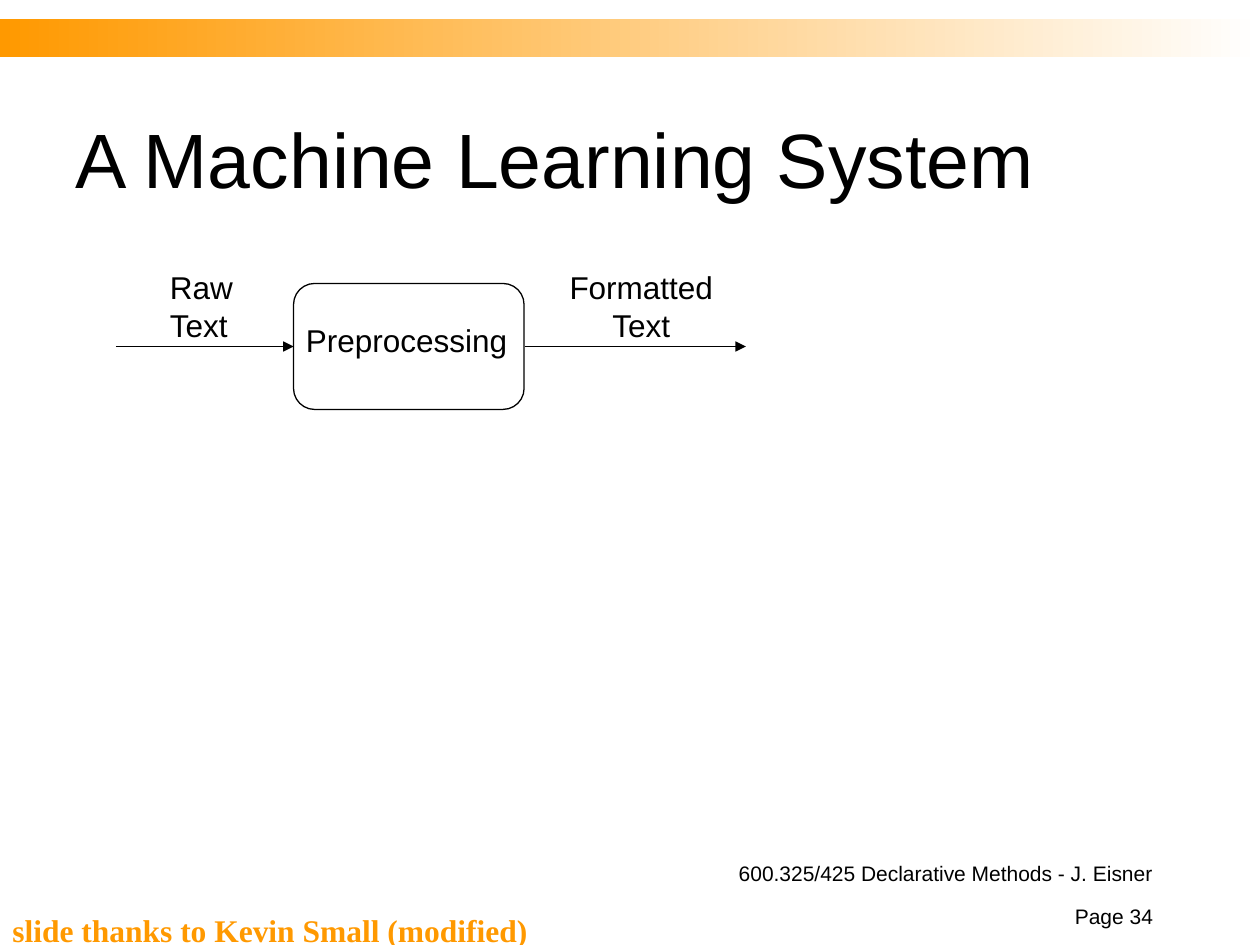
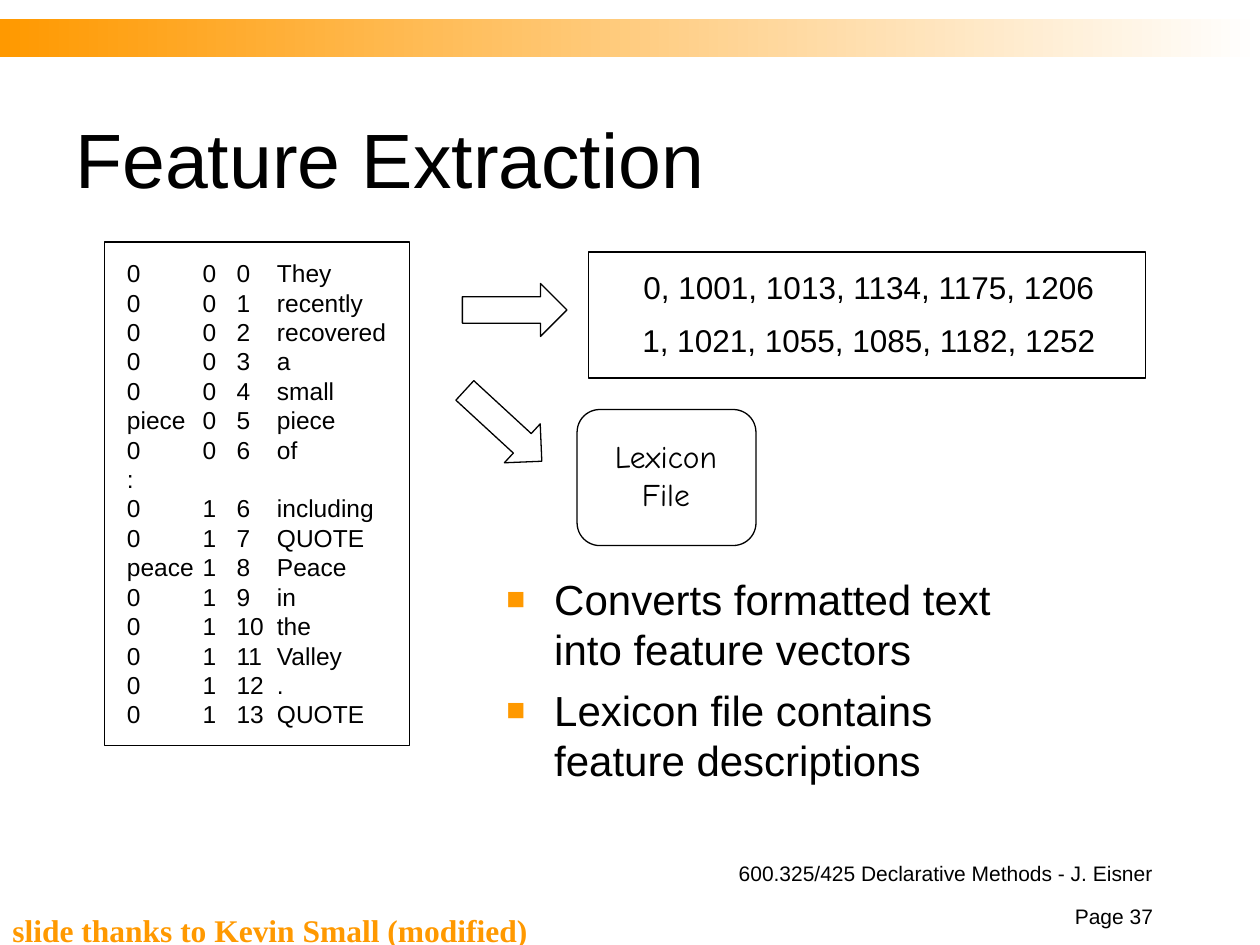
from dataclasses import dataclass

from lxml.etree import SubElement
from pptx import Presentation
from pptx.dml.color import RGBColor
from pptx.enum.shapes import MSO_CONNECTOR as Connector, MSO_SHAPE as Preset
from pptx.enum.text import MSO_ANCHOR as Anchor, PP_ALIGN as Align
from pptx.oxml.ns import qn
from pptx.shapes.autoshape import Shape
from pptx.slide import Slide
from pptx.util import Inches, Pt


@dataclass(frozen=True)
class Theme:
    ink: RGBColor = RGBColor(0x00, 0x00, 0x00)
    accent: RGBColor = RGBColor(0xFF, 0x99, 0x00)
    paper: RGBColor = RGBColor(0xFF, 0xFF, 0xFF)
    font: str = "Arial"
    credit_font: str = "Times New Roman"
    lexicon_font: str = "Comic Neue"
    title_size: int = 44
    bullet_size: int = 24
    label_size: int = 18
    token_size: int = 14
    footer_size: int = 12
    line_width: float = 0.75
    corner: float = 0.167


THEME = Theme()


@dataclass(frozen=True)
class Box:
    left: float
    top: float
    width: float
    height: float

    def lengths(self) -> tuple:
        return tuple(map(Inches, (self.left, self.top, self.width, self.height)))


@dataclass(frozen=True)
class Label:
    text: str
    box: Box
    size: int = THEME.label_size
    font: str = THEME.font
    color: RGBColor = THEME.ink
    bold: bool = False
    align: Align = Align.LEFT
    anchor: Anchor = Anchor.TOP
    wrap: bool = False
    space_before: float = 0


@dataclass(frozen=True)
class Outline:
    preset: Preset
    box: Box
    rotation: float = 0


@dataclass(frozen=True)
class Flow:
    start: float
    end: float
    height: float


COURSE = "600.325/425 Declarative Methods - J. Eisner"
CREDIT = "slide thanks to Kevin Small (modified)"

PIPELINE_STAGE = Outline(Preset.ROUNDED_RECTANGLE, Box(2.33, 2.25, 1.83, 1))
PIPELINE_FLOWS = (Flow(0.92, 2.33, 2.75), Flow(4.17, 5.92, 2.75))
PIPELINE_LABELS = (
    Label("Preprocessing", Box(2.33, 2.5, 1.8, 0.4)),
    Label("Raw\nText", Box(1.25, 2.08, 0.7, 0.7)),
    Label("Formatted\nText", Box(4.42, 2.08, 1.34, 0.7), align=Align.CENTER),
)

TOKEN_COLUMNS = (0.6, 0.87, 1.19)
TOKEN_ROWS = (
    ("0", "0", "0", "They"),
    ("0", "0", "1", "recently"),
    ("0", "0", "2", "recovered"),
    ("0", "0", "3", "a"),
    ("0", "0", "4", "small"),
    ("piece", "0", "5", "piece"),
    ("0", "0", "6", "of"),
    (":",),
    ("0", "1", "6", "including"),
    ("0", "1", "7", "QUOTE"),
    ("peace", "1", "8", "Peace"),
    ("0", "1", "9", "in"),
    ("0", "1", "10", "the"),
    ("0", "1", "11", "Valley"),
    ("0", "1", "12", "."),
    ("0", "1", "13", "QUOTE"),
)
EXTRACTION_OUTLINES = (
    Outline(Preset.RECTANGLE, Box(0.83, 1.92, 2.42, 4)),
    Outline(Preset.RIGHT_ARROW, Box(3.67, 2.25, 0.83, 0.42)),
    Outline(Preset.RIGHT_ARROW, Box(3.58, 3.17, 0.83, 0.42), rotation=42.6),
    Outline(Preset.RECTANGLE, Box(4.67, 2, 4.42, 1)),
    Outline(Preset.ROUNDED_RECTANGLE, Box(4.58, 3.25, 1.42, 1.08)),
)
EXTRACTION_LABELS = (
    Label("0, 1001, 1013, 1134, 1175, 1206", Box(4.99, 2.08, 3.81, 0.4), align=Align.CENTER),
    Label("1, 1021, 1055, 1085, 1182, 1252", Box(4.99, 2.5, 3.81, 0.4), align=Align.CENTER),
    Label("Lexicon\nFile", Box(4.78, 3.42, 1.01, 0.7), font=THEME.lexicon_font,
          align=Align.CENTER),
)
EXTRACTION_POINTS = (
    "Converts formatted text into feature vectors\n"
    "Lexicon file contains feature descriptions"
)


def add_label(slide: Slide, label: Label) -> Shape:
    textbox = slide.shapes.add_textbox(*label.box.lengths())
    frame = textbox.text_frame
    frame.text = label.text
    frame.word_wrap = label.wrap
    frame.vertical_anchor = label.anchor
    for paragraph in frame.paragraphs:
        paragraph.alignment = label.align
        paragraph.space_before = Pt(label.space_before)
        for run in paragraph.runs:
            run.font.name = label.font
            run.font.size = Pt(label.size)
            run.font.bold = label.bold
            run.font.color.rgb = label.color
    return textbox


def add_outline(slide: Slide, outline: Outline) -> None:
    shape = slide.shapes.add_shape(outline.preset, *outline.box.lengths())
    shape.shadow.inherit = False
    shape.fill.background()
    shape.line.color.rgb = THEME.ink
    shape.line.width = Pt(THEME.line_width)
    shape.rotation = outline.rotation
    if outline.preset == Preset.ROUNDED_RECTANGLE:
        shape.adjustments[0] = THEME.corner


def add_flow(slide: Slide, flow: Flow) -> None:
    """Draw a horizontal arrow from left to right."""
    y = Inches(flow.height)
    arrow = slide.shapes.add_connector(
        Connector.STRAIGHT, Inches(flow.start), y, Inches(flow.end), y)
    arrow.line.color.rgb = THEME.ink
    arrow.line.width = Pt(THEME.line_width)
    properties = arrow.element.spPr
    SubElement(properties.find(qn("a:ln")), qn("a:tailEnd"), type="triangle")
    SubElement(properties, qn("a:effectLst"))


def add_bullets(slide: Slide, label: Label) -> None:
    """Add a label whose paragraphs carry square bullets and a hanging indent."""
    indent = Inches(0.38)
    for paragraph in add_label(slide, label).text_frame.paragraphs:
        properties = paragraph._p.get_or_add_pPr()
        properties.set("marL", str(indent))
        properties.set("indent", str(-indent))
        bullet_color = SubElement(properties, qn("a:buClr"))
        SubElement(bullet_color, qn("a:srgbClr"), val=str(THEME.accent))
        SubElement(properties, qn("a:buSzPct"), val="75000")
        SubElement(properties, qn("a:buFont"), typeface=THEME.font)
        SubElement(properties, qn("a:buChar"), char="■")


def add_tokens(slide: Slide) -> None:
    """List the tokens in columns held by tab stops."""
    text = "\n".join("\t".join(row) for row in TOKEN_ROWS)
    tokens = add_label(slide, Label(
        text, Box(0.91, 2, 2.26, 3.84), size=THEME.token_size, wrap=True))
    tokens.text_frame.margin_right = 0
    for paragraph in tokens.text_frame.paragraphs:
        stops = SubElement(paragraph._p.get_or_add_pPr(), qn("a:tabLst"))
        for column in TOKEN_COLUMNS:
            SubElement(stops, qn("a:tab"), pos=str(Inches(column)), algn="l")


def add_band(slide: Slide) -> None:
    band = slide.shapes.add_shape(Preset.RECTANGLE, *Box(0, 0.15, 10, 0.3).lengths())
    band.shadow.inherit = False
    band.line.fill.background()
    band.fill.gradient()
    band.fill.gradient_angle = 0
    for stop, color, position in zip(
            band.fill.gradient_stops, (THEME.accent, THEME.paper), (0, 1)):
        stop.color.rgb = color
        stop.position = position


def add_footer(slide: Slide, text: str, box: Box) -> None:
    add_label(slide, Label(text, box, size=THEME.footer_size, align=Align.RIGHT,
                           anchor=Anchor.BOTTOM, wrap=True))


def start_slide(deck: Presentation, title: str, page: int) -> Slide:
    """Add a blank slide with the shared band, title, footers and credit."""
    slide = deck.slides.add_slide(deck.slide_layouts[6])
    add_band(slide)
    add_footer(slide, COURSE, Box(4.83, 6.83, 4.42, 0.25))
    add_footer(slide, f"Page {page}", Box(8.25, 7.17, 1, 0.25))
    add_label(slide, Label(title, Box(0.5, 0.5, 9, 1.5), size=THEME.title_size,
                           anchor=Anchor.MIDDLE, wrap=True))
    add_label(slide, Label(CREDIT, Box(0, 7.33, 8.33, 0.25), font=THEME.credit_font,
                           color=THEME.accent, bold=True, anchor=Anchor.BOTTOM,
                           wrap=True, space_before=11.2))
    return slide


def build_system_slide(deck: Presentation) -> None:
    slide = start_slide(deck, "A Machine Learning System", 34)
    add_outline(slide, PIPELINE_STAGE)
    for flow in PIPELINE_FLOWS:
        add_flow(slide, flow)
    for label in PIPELINE_LABELS:
        add_label(slide, label)


def build_extraction_slide(deck: Presentation) -> None:
    slide = start_slide(deck, "Feature Extraction", 37)
    add_bullets(slide, Label(EXTRACTION_POINTS, Box(3.92, 4.5, 4.42, 1.83),
                             size=THEME.bullet_size, wrap=True, space_before=6))
    add_tokens(slide)
    for outline in EXTRACTION_OUTLINES:
        add_outline(slide, outline)
    for label in EXTRACTION_LABELS:
        add_label(slide, label)


def main() -> None:
    deck = Presentation()
    deck.slide_width, deck.slide_height = Inches(10), Inches(7.5)
    build_system_slide(deck)
    build_extraction_slide(deck)
    deck.save("out.pptx")


if __name__ == "__main__":
    main()
